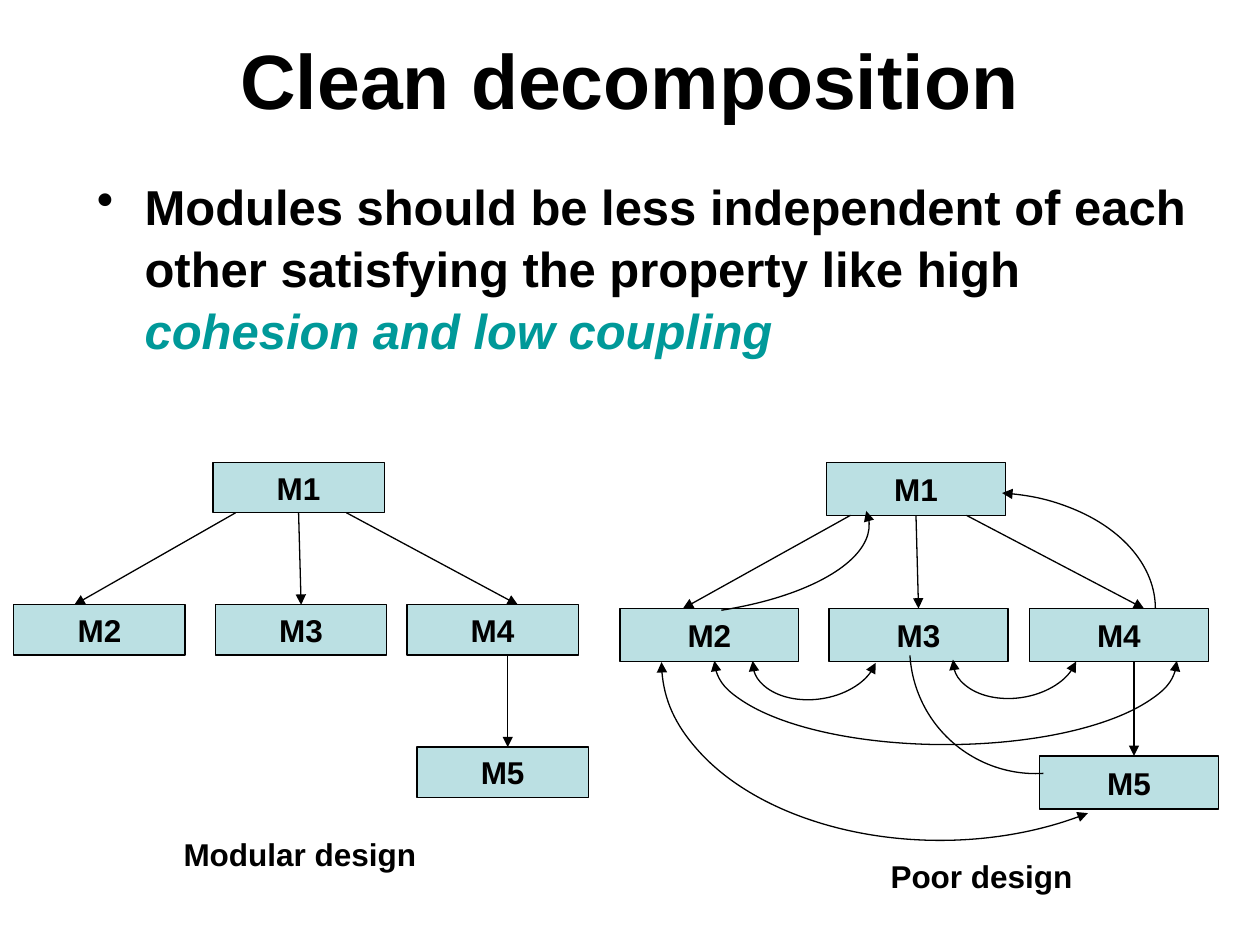
from lxml import etree
from pptx import Presentation
from pptx.dml.color import RGBColor
from pptx.enum.shapes import MSO_CONNECTOR, MSO_SHAPE
from pptx.enum.text import MSO_ANCHOR, PP_ALIGN
from pptx.oxml.ns import qn
from pptx.util import Inches, Pt

RECT, ARC = MSO_SHAPE.RECTANGLE, MSO_SHAPE.ARC
STRAIGHT = MSO_CONNECTOR.STRAIGHT
CENTER, LEFT, MIDDLE = PP_ALIGN.CENTER, PP_ALIGN.LEFT, MSO_ANCHOR.MIDDLE
BOTTOM_SITE, TOP_SITE = 2, 0

COLORS = {"text": "000000", "accent": "009999", "box": "BBE0E3"}
FONT = "Arial"

TITLE = "Clean decomposition"
BULLET = [
    ("Modules should be less independent of each other "
     "satisfying the property like high ", False),
    ("cohesion and low coupling", True),
]

# modules: name -> (left, top); arrows: (from, to, x at start, x at end)
DESIGNS = [
    {
        "caption": ("Modular design", 0.92, 6.58),
        "size": (1.36, 0.4),
        "modules": {"M1": (1.69, 3.67), "M2": (0.11, 4.8), "M3": (1.71, 4.8),
                    "M4": (3.23, 4.8), "M5": (3.31, 5.93)},
        "arrows": [("M1", "M2", 1.87, 0.59), ("M1", "M4", 2.75, 4.11),
                   ("M4", "M5", 4.03, 4.03)],
        "arcs": [],
    },
    {
        "caption": ("Poor design", 6.33, 6.75),
        "size": (1.42, 0.42),
        "modules": {"M1": (6.56, 3.67), "M2": (4.92, 4.83), "M3": (6.58, 4.83),
                    "M4": (8.17, 4.83), "M5": (8.25, 6)},
        "arrows": [("M1", "M2", 6.75, 5.42), ("M1", "M4", 7.67, 9.08),
                   ("M4", "M5", 9, 9)],
        # (left, top, width, height), rotation, start and end degrees, arrowheads
        "arcs": [
            ((3.57, 3.56, 3.33, 1.33), -2.4, 356.5, 54, ["headEnd"]),
            ((5.25, 3.84, 4.42, 2.83), 0, 45.6, 180, ["headEnd", "tailEnd"]),
            ((5.67, 4.58, 3.67, 1.33), 0, 0, 180, ["headEnd", "tailEnd"]),
            ((5.97, 4.88, 1, 0.67), -8.5, 14, 185, ["headEnd", "tailEnd"]),
            ((7.56, 4.87, 1, 0.67), -8.5, 14, 185, ["headEnd", "tailEnd"]),
            ((7.22, 4.14, 2, 2), 0, 86.5, 176.5, []),
            ((6.5, 3.91, 2.67, 1.84), 0, 277.4, 0, ["headEnd"]),
        ],
    },
]


def rgb(name):
    return RGBColor.from_string(COLORS[name])


def inches(*values):
    return [Inches(v) for v in values]


def set_font(p, size, align=CENTER):
    p.alignment = align
    p.font.name, p.font.size, p.font.bold = FONT, Pt(size), True
    p.font.color.rgb = rgb("text")


def add_text(s, box, size, text="", align=CENTER):
    tf = s.shapes.add_textbox(*inches(*box)).text_frame
    tf.word_wrap = True
    p = tf.paragraphs[0]
    p.text = text
    set_font(p, size, align)
    return tf


def style_line(sp, ends=()):
    sp.line.color.rgb = rgb("text")
    sp.line.width = Pt(0.75)
    ln = sp.line._get_or_add_ln()
    for end in ends:
        etree.SubElement(ln, qn("a:" + end), type="triangle")


def add_module(group, name, left, top, size):
    sp = group.shapes.add_shape(RECT, *inches(left, top, *size))
    sp.shadow.inherit = False
    sp.fill.solid()
    sp.fill.fore_color.rgb = rgb("box")
    style_line(sp)
    tf = sp.text_frame
    tf.word_wrap = False
    tf.vertical_anchor = MIDDLE
    tf.text = name
    set_font(tf.paragraphs[0], 18)
    return sp


def add_arrow(group, x1, y1, x2, y2):
    cx = group.shapes.add_connector(STRAIGHT, *inches(x1, y1, x2, y2))
    style_line(cx, ["tailEnd"])
    etree.SubElement(cx._element.spPr, qn("a:effectLst"))
    return cx


def add_arc(group, box, rotation, start, end, ends):
    sp = group.shapes.add_shape(ARC, *inches(*box))
    sp.shadow.inherit = False
    sp.fill.background()
    sp.rotation = rotation
    for i, degrees in enumerate((start, end)):
        sp.adjustments[i] = degrees * 0.6  # 60000 units per degree over 100000
    style_line(sp, ends)


def add_design(s, design):
    group = s.shapes.add_group_shape()
    modules, height = design["modules"], design["size"][1]
    boxes = {name: add_module(group, name, *at, design["size"])
             for name, at in modules.items()}
    for source, target, x1, x2 in design["arrows"]:
        add_arrow(group, x1, modules[source][1] + height, x2, modules[target][1])
    middle = add_arrow(group, 0, 0, 1, 1)
    middle.begin_connect(boxes["M1"], BOTTOM_SITE)
    middle.end_connect(boxes["M3"], TOP_SITE)
    for arc in design["arcs"]:
        add_arc(group, *arc)
    text, left, top = design["caption"]
    add_text(s, (left, top, 2.92, 0.4), 18, text)


def add_bullet(s):
    p = add_text(s, (0.67, 1.33, 9, 1.67), 28, align=LEFT).paragraphs[0]
    p.line_spacing = 1.05
    for text, accent in BULLET:
        r = p.add_run()
        r.text = text
        if accent:
            r.font.italic = True
            r.font.color.rgb = rgb("accent")
    pPr = p._p.get_or_add_pPr()
    pPr.set("marL", str(Inches(0.38)))
    pPr.set("indent", str(Inches(-0.38)))
    bullet = etree.Element(qn("a:buChar"), char="•")
    pPr.find(qn("a:defRPr")).addprevious(bullet)


def main():
    prs = Presentation()
    prs.slide_width, prs.slide_height = inches(10, 7.5)
    s = prs.slides.add_slide(prs.slide_layouts[6])
    add_text(s, (0.5, 0, 9, 1.25), 44, TITLE).vertical_anchor = MIDDLE
    add_bullet(s)
    for design in DESIGNS:
        add_design(s, design)
    prs.save("out.pptx")


if __name__ == "__main__":
    main()
